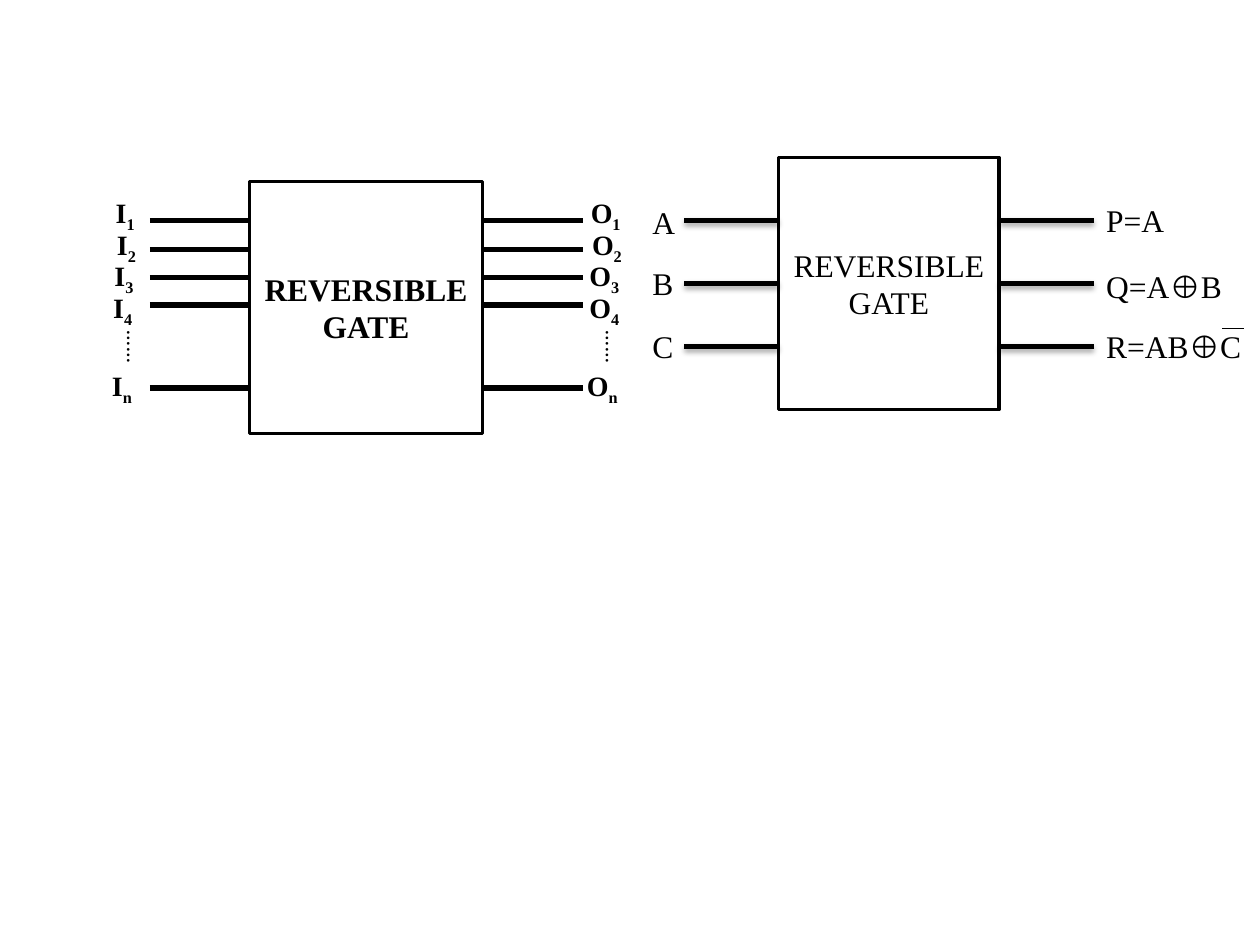
from lxml import etree
from pptx import Presentation
from pptx.dml.color import RGBColor
from pptx.enum import shapes, text
from pptx.oxml import ns
from pptx.util import Inches, Pt

COLORS = {"ink": "000000", "paper": "FFFFFF"}
FONT = "Times New Roman"


def color(name):
    return RGBColor.from_string(COLORS[name])


def add_run(para, words, size, bold=False, sub=False):
    run = para.add_run()
    run.text = words
    font = run.font
    font.name, font.size, font.bold = FONT, Pt(size), bold
    font.color.rgb = color("ink")
    if sub:
        font._element.set("baseline", "-25000")


def add_label(group, left, top, width, height, runs, size, turned=False):
    """Place a text box; runs holds (words, bold, subscript)."""
    box = group.shapes.add_textbox(*map(Inches, (left, top, width, height)))
    frame = box.text_frame
    frame.word_wrap = False
    frame.auto_size = text.MSO_AUTO_SIZE.SHAPE_TO_FIT_TEXT
    if turned:
        frame._txBody.bodyPr.set("vert", "vert270")
    for words, bold, sub in runs:
        add_run(frame.paragraphs[0], words, size, bold, sub)


def add_wire(group, start, end, y, weight=3, shadow=False):
    wire = group.shapes.add_connector(
        shapes.MSO_CONNECTOR.STRAIGHT,
        Inches(start), Inches(y), Inches(end), Inches(y))
    wire.line.color.rgb = color("ink")
    wire.line.width = Pt(weight)
    props = wire._element.spPr
    effects = etree.SubElement(props, ns.qn("a:effectLst"))
    if shadow:
        outer = etree.SubElement(
            effects, ns.qn("a:outerShdw"), blurRad=str(Pt(3.1)),
            dist=str(Pt(1.8)), dir="5400000", rotWithShape="0")
        tint = etree.SubElement(outer, ns.qn("a:srgbClr"), val=COLORS["ink"])
        etree.SubElement(tint, ns.qn("a:alpha"), val="35000")
    return wire


def add_gate(group, left, top, width, height, lines, bold):
    gate = group.shapes.add_shape(
        shapes.MSO_SHAPE.RECTANGLE,
        *map(Inches, (left, top, width, height)))
    gate.shadow.inherit = False
    gate.fill.solid()
    gate.fill.fore_color.rgb = color("paper")
    gate.line.color.rgb = color("ink")
    gate.line.width = Pt(2)
    frame = gate.text_frame
    frame.word_wrap = True
    frame.vertical_anchor = text.MSO_ANCHOR.MIDDLE
    para = frame.paragraphs[0]
    para.alignment = text.PP_ALIGN.CENTER
    for i, words in enumerate(lines):
        if i:
            para.add_line_break()
        add_run(para, words, 18, bold)
    return gate


def draw_general(slide, left, top, width, height):
    """Gate with n inputs and n outputs."""
    group = slide.shapes.add_group_shape()
    right = left + width
    add_gate(group, left, top, width, height, ["REVERSIBLE GATE"], True)

    # Wires on both sides
    for drop in (0.31, 0.54, 0.76, 0.98, 1.64):
        add_wire(group, left - 0.79, left, top + drop)
        add_wire(group, right, right + 0.8, top + drop)

    # Subscripted labels: index, drop, input shift, output shift
    rows = [("1", 0.06, 0.82, 4.59), ("2", 0.32, 0.83, 4.6),
            ("3", 0.56, 0.81, 4.58), ("4", 0.82, 0.8, 4.58),
            ("n", 1.44, 0.79, 4.56)]
    for index, drop, start, end in rows:
        for name, x, w in (("I", start, 0.39), ("O", end, 0.48)):
            add_label(group, left - 1.98 + x, top + drop, w, 0.37,
                      [(name, True, False), (index, True, True)], 16)

    # Dots for the rows left out
    for x in (left - 1.28, right + 0.67):
        add_label(group, x, top + 1.14, 0.4, 0.4,
                  [("……", True, True)], 16, turned=True)


def draw_three(slide, left, top, width, height):
    """Gate with three inputs and three outputs."""
    group = slide.shapes.add_group_shape()
    right, reach = left + width, 0.75
    gate = add_gate(group, left, top, width, height,
                    ["REVERSIBLE", "GATE"], False)
    rows = [("A", ["P=A"], 0.31, 0.3, 0.67),
            ("B", ["Q=A", "⊕", "B"], 0.8, 0.82, 1.12),
            ("C", ["R=AB", "⊕", "C"], 1.3, 1.3, 1.28)]
    for i, (name, parts, drop, fall, w) in enumerate(rows):
        y = top + height * (i + 1) / 4
        enter = add_wire(group, left - reach, left, y, shadow=True)
        leave = add_wire(group, right, right + reach, y, shadow=True)
        if i == 1:
            enter.end_connect(gate, 1)
            leave.begin_connect(gate, 3)
        add_label(group, left - 1.1, top + drop, 0.37, 0.4,
                  [(name, False, False)], 18)
        add_label(group, right + reach, top + fall, w, 0.4,
                  [(part, part == "⊕", False) for part in parts], 18)

    # Bar over the C of the last output
    add_wire(group, right + 1.77, right + 1.94, top + 1.36, weight=0.75)


def main():
    deck = Presentation()
    deck.slide_width, deck.slide_height = Inches(10), Inches(7.5)
    slide = deck.slides.add_slide(deck.slide_layouts[6])
    draw_general(slide, 1.98, 1.44, 1.85, 2)
    draw_three(slide, 6.18, 1.25, 1.75, 2)
    deck.save("out.pptx")


if __name__ == "__main__":
    main()
